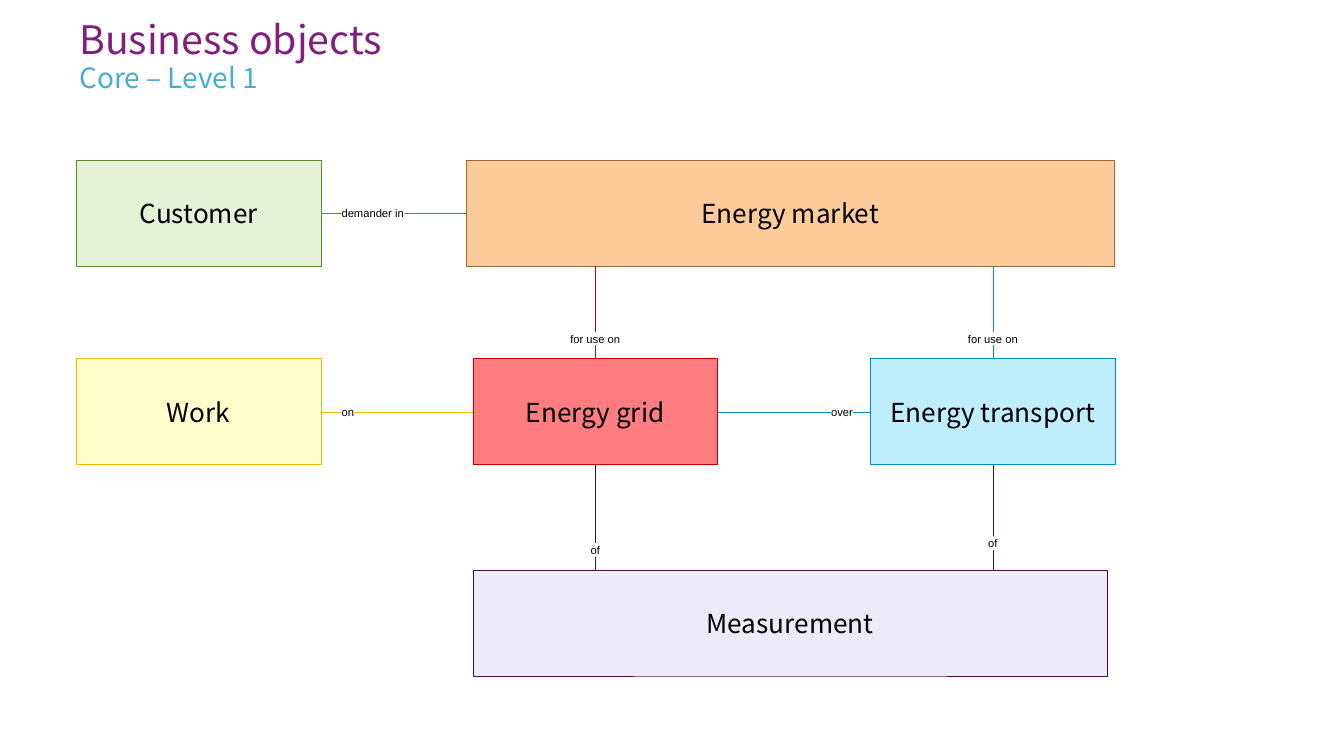
import pptx
import pptx.dml.color
import pptx.enum.shapes
import pptx.enum.text
import pptx.oxml.ns
import pptx.util
from lxml import etree

Pt = pptx.util.Pt
RGBColor = pptx.dml.color.RGBColor
ALIGN = pptx.enum.text.PP_ALIGN
ANCHOR = pptx.enum.text.MSO_ANCHOR
AUTO_SIZE = pptx.enum.text.MSO_AUTO_SIZE
RECTANGLE = pptx.enum.shapes.MSO_SHAPE.RECTANGLE
STRAIGHT = pptx.enum.shapes.MSO_CONNECTOR.STRAIGHT

BLACK = RGBColor(0x00, 0x00, 0x00)
WHITE = RGBColor(0xFF, 0xFF, 0xFF)
PURPLE = RGBColor(0x82, 0x1E, 0x7D)
SKY = RGBColor(0x48, 0xAE, 0xD0)
GREEN = RGBColor(0x5E, 0x87, 0x2D)
PALE_GREEN = RGBColor(0xE5, 0xF2, 0xD7)
BROWN = RGBColor(0x99, 0x66, 0x33)
PEACH = RGBColor(0xFF, 0xCC, 0x99)
GOLD = RGBColor(0xF2, 0xB8, 0x00)
PALE_YELLOW = RGBColor(0xFF, 0xFF, 0xCC)
RED = RGBColor(0xC0, 0x00, 0x00)
CORAL = RGBColor(0xFF, 0x7C, 0x80)
BLUE = RGBColor(0x00, 0x8C, 0xBE)
PALE_BLUE = RGBColor(0xBF, 0xEE, 0xFF)
PLUM = RGBColor(0x41, 0x0F, 0x3F)
LILAC = RGBColor(0xED, 0xEB, 0xF9)

HEADING_FONT = "Noto Sans CJK TC"
LABEL_FONT = "Arial"
HAIRLINE = Pt(0.25)
BOX_WIDTH = Pt(131)
BOX_HEIGHT = Pt(56.8)
LABEL_HEIGHT = Pt(7.2)


def write(shape, text, font_name, size, color, alignment):
    """Put one formatted paragraph in a shape and return the paragraph."""
    shape.text_frame.text = text
    paragraph = shape.text_frame.paragraphs[0]
    paragraph.alignment = alignment
    font = paragraph.runs[0].font
    font.name, font.size = font_name, Pt(size)
    font.color.rgb = color
    return paragraph


def set_margins(text_frame, margin):
    """Give all four sides of a text frame the same margin."""
    text_frame.margin_left = text_frame.margin_right = margin
    text_frame.margin_top = text_frame.margin_bottom = margin


def place_heading(placeholder, box, text, size, color, line_spacing):
    """Fit a title or subtitle placeholder to a box and fill it."""
    placeholder.left, placeholder.top, placeholder.width, placeholder.height = box
    frame = placeholder.text_frame
    set_margins(frame, 0)
    frame.word_wrap = True
    frame.auto_size = AUTO_SIZE.NONE
    frame.vertical_anchor = ANCHOR.TOP
    paragraph = write(placeholder, text, HEADING_FONT, size, color, ALIGN.LEFT)
    paragraph.space_before = Pt(0)
    paragraph.line_spacing = line_spacing


def add_header(slide, left, top):
    """Place the title and the subtitle below it."""
    title, subtitle = slide.placeholders
    place_heading(title, (left, top, Pt(694.8), Pt(28)),
                  "Business objects", 21, PURPLE, Pt(21))
    place_heading(subtitle, (left, top + Pt(16.6), Pt(558.7), Pt(15.8)),
                  "Core – Level 1", 15, SKY, 1.2)


def add_object(slide, left, top, width, text, fill, outline):
    """Add a business object as a filled, outlined rectangle."""
    shape = slide.shapes.add_shape(RECTANGLE, left, top, width, BOX_HEIGHT)
    shape.shadow.inherit = False
    shape.fill.solid()
    shape.fill.fore_color.rgb = fill
    shape.line.color.rgb = outline
    shape.line.width = HAIRLINE
    shape.text_frame.vertical_anchor = ANCHOR.MIDDLE
    write(shape, text, HEADING_FONT, 14, BLACK, ALIGN.CENTER)
    return shape


def add_line(slide, start, end, color):
    """Add a thin straight connector without a shadow."""
    line = slide.shapes.add_connector(STRAIGHT, *start, *end)
    line.line.color.rgb = color
    line.line.width = HAIRLINE
    properties = line._element.find(pptx.oxml.ns.qn("p:spPr"))
    etree.SubElement(properties, pptx.oxml.ns.qn("a:effectLst"))
    return line


def link_across(slide, first, second, color):
    """Join the right side of one object to the left side of the next."""
    middle = first.top + first.height // 2
    line = add_line(slide, (first.left + first.width, middle),
                    (second.left, middle), color)
    line.begin_connect(first, 3)
    line.end_connect(second, 1)


def link_up(slide, shape, upper, color):
    """Run a line from the top of an object to the wide object above."""
    center = shape.left + shape.width // 2
    line = add_line(slide, (center, shape.top),
                    (center, upper.top + upper.height), color)
    line.begin_connect(shape, 0)


def link_down(slide, shape, lower, color):
    """Run a line from the bottom of an object to the wide object below."""
    center = shape.left + shape.width // 2
    line = add_line(slide, (center, shape.top + shape.height),
                    (center, lower.top), color)
    line.begin_connect(shape, 2)


def add_label(slide, left, top, width, text, alignment):
    """Add a small white label that interrupts a line."""
    label = slide.shapes.add_shape(RECTANGLE, left, top, width, LABEL_HEIGHT)
    label.shadow.inherit = False
    label.fill.solid()
    label.fill.fore_color.rgb = WHITE
    label.line.fill.background()
    frame = label.text_frame
    set_margins(frame, 0)
    frame.word_wrap = alignment == ALIGN.CENTER
    frame.auto_size = AUTO_SIZE.SHAPE_TO_FIT_TEXT
    frame.vertical_anchor = ANCHOR.BOTTOM
    write(label, text, LABEL_FONT, 6, BLACK, alignment)


def add_diagram(slide, left, top):
    """Place the objects, their links and the link labels."""
    grid_left, transport_left = left + Pt(212.4), left + Pt(425.4)
    market_left = left + Pt(208.8)
    middle_top, bottom_top = top + Pt(106.4), top + Pt(219.6)

    customer = add_object(slide, left, top, BOX_WIDTH, "Customer", PALE_GREEN, GREEN)
    market = add_object(slide, market_left, top, Pt(347.3), "Energy market", PEACH, BROWN)
    work = add_object(slide, left, middle_top, BOX_WIDTH, "Work", PALE_YELLOW, GOLD)
    grid = add_object(slide, grid_left, middle_top, BOX_WIDTH, "Energy grid", CORAL, RED)
    transport = add_object(slide, transport_left, middle_top, BOX_WIDTH,
                           "Energy transport", PALE_BLUE, BLUE)
    measurement = add_object(slide, grid_left, bottom_top, Pt(340), "Measurement", LILAC, PLUM)

    link_across(slide, customer, market, GREEN)
    link_across(slide, work, grid, GOLD)
    link_across(slide, grid, transport, BLUE)
    for shape, color, rise in ((grid, RED, Pt(14.4)), (transport, BLUE, Pt(18))):
        link_up(slide, shape, market, color)
        link_down(slide, shape, measurement, PLUM)
        add_label(slide, shape.left, middle_top - Pt(14.4), BOX_WIDTH,
                  "for use on", ALIGN.CENTER)
        add_label(slide, shape.left, bottom_top - rise, BOX_WIDTH, "of", ALIGN.CENTER)

    label_left = left + BOX_WIDTH + Pt(11)
    label_drop = (BOX_HEIGHT - LABEL_HEIGHT) // 2
    add_label(slide, label_left, top + label_drop, Pt(33.8), "demander in", ALIGN.LEFT)
    add_label(slide, label_left, middle_top + label_drop, Pt(6.7), "on", ALIGN.LEFT)
    add_label(slide, transport_left - Pt(21.3), middle_top + label_drop, Pt(11.8),
              "over", ALIGN.RIGHT)


def main():
    """Build and save the slide."""
    presentation = pptx.Presentation()
    presentation.slide_width, presentation.slide_height = Pt(720), Pt(405)
    slide = presentation.slides.add_slide(presentation.slide_layouts[0])
    add_header(slide, Pt(42.5), Pt(12.2))
    add_diagram(slide, Pt(41), Pt(85.8))
    presentation.save("out.pptx")


if __name__ == "__main__":
    main()
